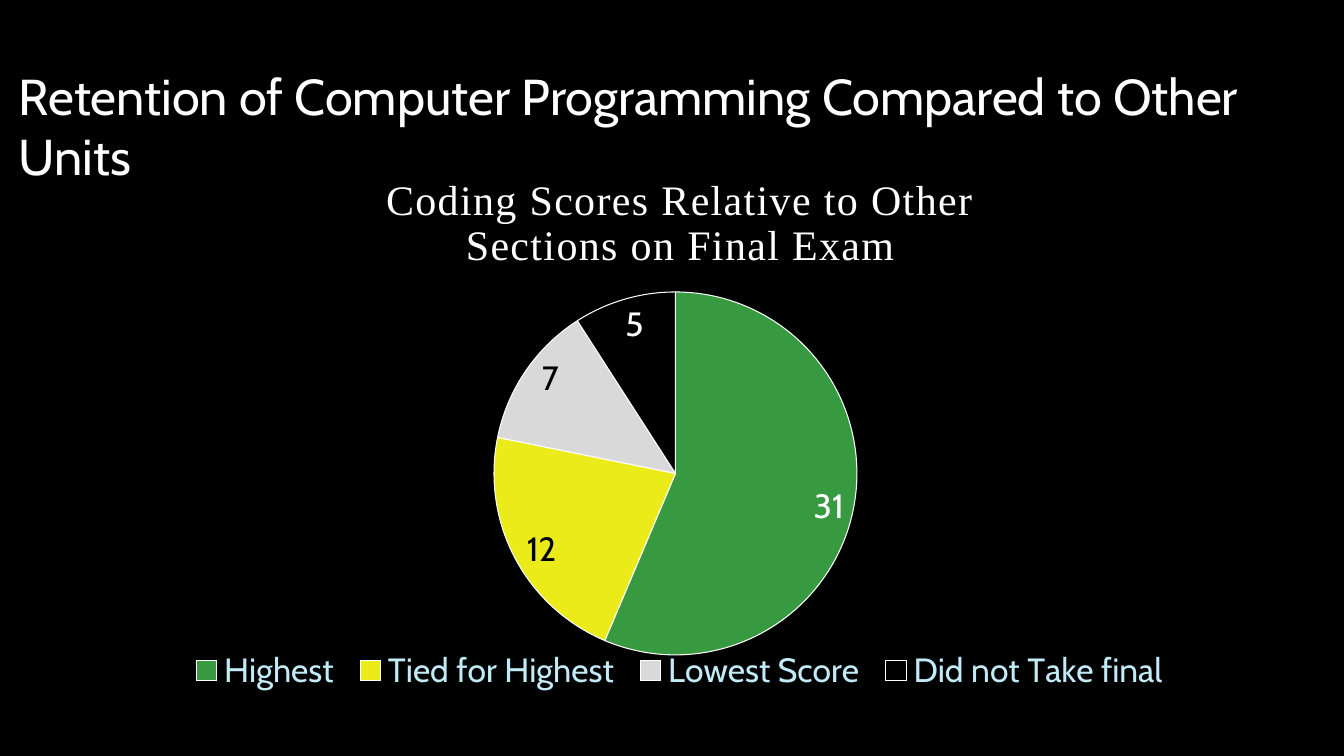
from lxml import etree
from pptx import Presentation, util as u
from pptx.chart.data import CategoryChartData
from pptx.dml.color import RGBColor
from pptx.enum import chart as charts, text
from pptx.oxml.ns import qn

COLOURS = {
    "background": "000000",
    "white": "FFFFFF",
    "black": "000000",
    "legend": "C1EBF7",
    "green": "379940",
    "yellow": "EBEB19",
    "grey": "D9D9D9",
}
# category, students, slice colour, label colour
SCORES = [
    ("Highest", 31, "green", "white"),
    ("Tied for Highest", 12, "yellow", "black"),
    ("Lowest Score", 7, "grey", "black"),
    ("Did not Take final", 5, "black", "white"),
]
CHART_BOX = (159, 235, 1041, 496)
PIE_BOX = (494, 292, 363, 363)
LEGEND_BOX = (181, 648, 997, 46)
EMU_PER_PX = 914400 / 100.8


def px(*lengths):
    return [u.Emu(round(length * EMU_PER_PX)) for length in lengths]


def style(font, name, size, colour):
    font.name, font.size = name, u.Pt(size)
    font.color.rgb = RGBColor.from_string(COLOURS[colour])


presentation = Presentation()
presentation.slide_width, presentation.slide_height = px(1344, 756)
slide = presentation.slides.add_slide(presentation.slide_layouts[5])
slide.background.fill.solid()
slide.background.fill.fore_color.rgb = RGBColor.from_string(COLOURS["background"])

# Chart heading
title = slide.shapes.title
title.left, title.top, title.width, title.height = px(375, 168, 611, 151)
title.text_frame.text = "Coding Scores Relative to Other Sections on Final Exam"
title.text_frame.word_wrap = True
title.text_frame.auto_size = text.MSO_AUTO_SIZE.NONE
title.text_frame.vertical_anchor = text.MSO_ANCHOR.BOTTOM
title.text_frame.margin_bottom, = px(49)
paragraph = title.text_frame.paragraphs[0]
paragraph.alignment = text.PP_ALIGN.CENTER
paragraph.line_spacing = 0.9
style(paragraph.font, "Times New Roman", 30, "white")
paragraph.runs[0].font._element.set("spc", "100")

# Pie chart
chart_data = CategoryChartData()
chart_data.categories = [score[0] for score in SCORES]
chart_data.add_series("Series 1", [score[1] for score in SCORES])
chart = slide.shapes.add_chart(
    charts.XL_CHART_TYPE.PIE, *px(*CHART_BOX), chart_data
).chart
chart.has_title = False
style(chart.font, "Cabin", 10, "white")
chart.has_legend = True
chart.legend.position = charts.XL_LEGEND_POSITION.BOTTOM
chart.legend.include_in_layout = False
style(chart.legend.font, "Cabin", 24, "legend")

plot = chart.plots[0]
plot.vary_by_categories = True
plot.has_data_labels = True
plot.data_labels.show_value = True
plot.data_labels.position = charts.XL_LABEL_POSITION.BEST_FIT
style(plot.data_labels.font, "Cabin", 24, "white")
for index, (_, _, slice_colour, label_colour) in enumerate(SCORES):
    point = plot.series[0].points[index]
    point.format.fill.solid()
    point.format.fill.fore_color.rgb = RGBColor.from_string(COLOURS[slice_colour])
    point.format.line.color.rgb = RGBColor.from_string(COLOURS["white"])
    point.format.line.width = u.Pt(0.75)
    style(point.data_label.font, "Cabin", 24, label_colour)
    point.data_label.position = charts.XL_LABEL_POSITION.BEST_FIT

# Fixed places for the pie and the legend, as fractions of the chart
chart_left, chart_top, chart_width, chart_height = CHART_BOX
plot_area = chart._chartSpace.chart.plotArea
legend = chart.legend._element
for parent, position, target, box in (
    (plot_area, 0, "inner", PIE_BOX),
    (legend, 1, None, LEGEND_BOX),
):
    for old_layout in parent.findall(qn("c:layout")):
        parent.remove(old_layout)
    layout = etree.Element(qn("c:layout"))
    parent.insert(position, layout)
    manual = etree.SubElement(layout, qn("c:manualLayout"))
    left, top, width, height = box
    settings = [
        ("xMode", "edge"),
        ("yMode", "edge"),
        ("x", (left - chart_left) / chart_width),
        ("y", (top - chart_top) / chart_height),
        ("w", width / chart_width),
        ("h", height / chart_height),
    ]
    if target:
        settings.insert(0, ("layoutTarget", target))
    for tag, value in settings:
        etree.SubElement(manual, qn(f"c:{tag}")).set("val", str(value))

# Slide heading
heading = slide.shapes.add_textbox(*px(9, 60, 1335, 72))
heading.text_frame.word_wrap = True
heading.text_frame.text = "Retention of Computer Programming Compared to Other Units"
style(heading.text_frame.paragraphs[0].font, "Cabin", 36, "white")

presentation.save("out.pptx")
